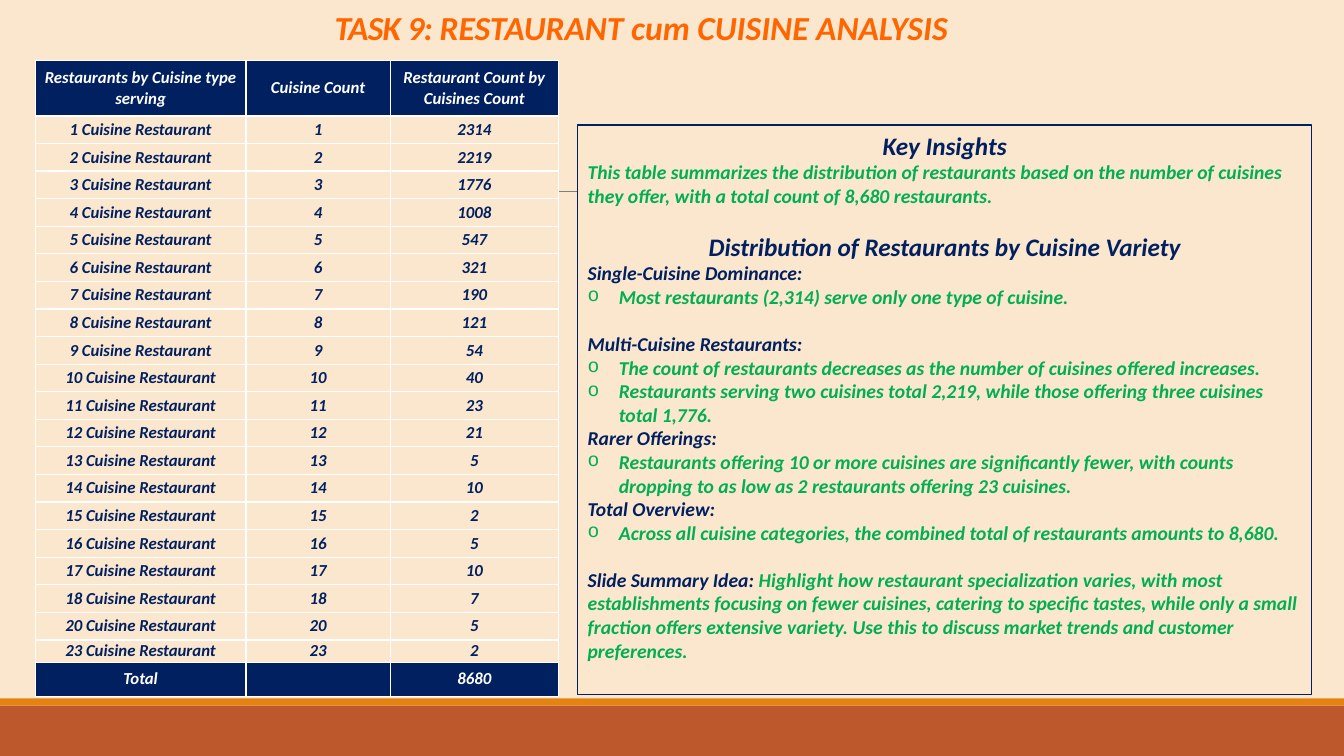
from lxml.etree import SubElement
from pptx import Presentation
from pptx.dml.color import RGBColor
from pptx.enum.shapes import MSO_CONNECTOR, MSO_SHAPE
from pptx.enum.text import MSO_ANCHOR, PP_ALIGN
from pptx.oxml.ns import qn
from pptx.util import Inches, Pt

NAVY = RGBColor(0x00, 0x20, 0x60)
GREEN = RGBColor(0x00, 0xB0, 0x50)
CREAM = RGBColor(0xFB, 0xE6, 0xCE)
WHITE = RGBColor(0xFF, 0xFF, 0xFF)
GRAY = RGBColor(0x80, 0x80, 0x80)
TITLE_ORANGE = RGBColor(0xFF, 0x66, 0x00)
BAND_ORANGE = RGBColor(0xE4, 0x83, 0x12)
BAND_RUST = RGBColor(0xBD, 0x58, 0x2C)


def set_font(font, size, color):
    """Apply the slide's bold italic Calibri."""
    font.name = "Calibri"
    font.size = Pt(size)
    font.bold = True
    font.italic = True
    font.color.rgb = color


def add_rectangle(left, top, width, height, color):
    box = page.shapes.add_shape(MSO_SHAPE.RECTANGLE, Inches(left), Inches(top),
                                Inches(width), Inches(height))
    box.shadow.inherit = False
    box.fill.solid()
    box.fill.fore_color.rgb = color
    box.line.fill.background()
    return box


deck = Presentation()
deck.slide_width = Inches(13.33)
deck.slide_height = Inches(7.5)
page = deck.slides.add_slide(deck.slide_layouts[6])
page.background.fill.solid()
page.background.fill.fore_color.rgb = CREAM

# Footer bands and the rule behind the content
add_rectangle(0, 7, 13.33, 0.5, BAND_RUST)
add_rectangle(0, 6.93, 13.33, 0.07, BAND_ORANGE)
rule = page.shapes.add_connector(MSO_CONNECTOR.STRAIGHT, Inches(1.31), Inches(1.9),
                                 Inches(12.21), Inches(1.9))
rule.line.color.rgb = GRAY
rule.line.width = Pt(0.5)
SubElement(rule._element.spPr, qn("a:effectLst"))

# Title
title = page.shapes.add_textbox(Inches(0.86), Inches(0.07), Inches(11), Inches(0.46))
title.text_frame.word_wrap = True
title.text_frame.vertical_anchor = MSO_ANCHOR.MIDDLE
para = title.text_frame.paragraphs[0]
para.alignment = PP_ALIGN.CENTER
para.line_spacing = 0.85
para.space_after = Pt(6)
set_font(para.font, 24, TITLE_ORANGE)
task = para.add_run()
task.text = "TASK 9: "
task._r.get_or_add_rPr().set("spc", "-50")
para.add_run().text = "RESTAURANT cum CUISINE ANALYSIS"

# Key insights: style, text, space before in points
BLANK_LINE = 17
INSIGHTS = [
    ("heading", "Key Insights", 0),
    ("body", "This table summarizes the distribution of restaurants based on the number "
             "of cuisines they offer, with a total count of 8,680 restaurants.", 0),
    ("heading", "Distribution of Restaurants by Cuisine Variety", BLANK_LINE),
    ("label", "Single-Cuisine Dominance:", 0),
    ("bullet", "Most restaurants (2,314) serve only one type of cuisine.", 0),
    ("label", "Multi-Cuisine Restaurants:", BLANK_LINE),
    ("bullet", "The count of restaurants decreases as the number of cuisines offered "
               "increases.", 0),
    ("bullet", "Restaurants serving two cuisines total 2,219, while those offering three "
               "cuisines total 1,776.", 0),
    ("label", "Rarer Offerings:", 0),
    ("bullet", "Restaurants offering 10 or more cuisines are significantly fewer, with "
               "counts dropping to as low as 2 restaurants offering 23 cuisines.", 0),
    ("label", "Total Overview:", 0),
    ("bullet", "Across all cuisine categories, the combined total of restaurants amounts "
               "to 8,680.", 0),
    ("label", "Slide Summary Idea: ", BLANK_LINE),
]
SUMMARY = ("Highlight how restaurant specialization varies, with most establishments "
           "focusing on fewer cuisines, catering to specific tastes, while only a small "
           "fraction offers extensive variety. Use this to discuss market trends and "
           "customer preferences.")

insights = add_rectangle(5.73, 1.24, 7.28, 5.65, CREAM)
insights.line.color.rgb = NAVY
insights.line.width = Pt(0.75)
frame = insights.text_frame
frame.word_wrap = True
frame.vertical_anchor = MSO_ANCHOR.TOP
for index, (style, text, gap) in enumerate(INSIGHTS):
    para = frame.add_paragraph() if index else frame.paragraphs[0]
    para.alignment = PP_ALIGN.CENTER if style == "heading" else PP_ALIGN.LEFT
    para.space_before = Pt(gap)
    if style == "bullet":
        props = para._p.get_or_add_pPr()
        props.set("marL", str(Inches(0.31)))
        props.set("indent", str(-Inches(0.31)))
        SubElement(props, qn("a:buFont"), typeface="Courier New")
        SubElement(props, qn("a:buChar"), char="o")
    set_font(para.font, 18 if style == "heading" else 14,
             NAVY if style in ("heading", "label") else GREEN)
    para.add_run().text = text
# The last label is followed by its text on the same line
set_font(para.runs[0].font, 14, NAVY)
span = para.add_run()
span.text = SUMMARY
set_font(span.font, 14, GREEN)

# Table of restaurants by number of cuisines
COUNTS = {1: 2314, 2: 2219, 3: 1776, 4: 1008, 5: 547, 6: 321, 7: 190, 8: 121, 9: 54,
          10: 40, 11: 23, 12: 21, 13: 5, 14: 10, 15: 2, 16: 5, 17: 10, 18: 7, 20: 5, 23: 2}
rows = [("Restaurants by Cuisine type serving", "Cuisine Count",
         "Restaurant Count by Cuisines Count")]
rows += [(f"{cuisines} Cuisine Restaurant", str(cuisines), str(count))
         for cuisines, count in COUNTS.items()]
rows.append(("Total", "", "8680"))
COLUMN_WIDTHS = [2.09, 1.43, 1.67]
ROW_HEIGHTS = [0.55] + [5.2 / 19] * 19 + [0.22, 0.34]

table = page.shapes.add_table(len(rows), len(COLUMN_WIDTHS), Inches(0.35), Inches(0.6),
                              Inches(5.19), Inches(6.31)).table
for column, width in zip(table.columns, COLUMN_WIDTHS):
    column.width = Inches(width)
for row_index, (texts, height) in enumerate(zip(rows, ROW_HEIGHTS)):
    table.rows[row_index].height = Inches(height)
    is_dark = row_index in (0, len(rows) - 1)
    for column_index, text in enumerate(texts):
        cell = table.cell(row_index, column_index)
        cell.margin_left = cell.margin_right = cell.margin_top = cell.margin_bottom = 0
        cell.vertical_anchor = MSO_ANCHOR.MIDDLE
        for side in ("lnL", "lnR", "lnT", "lnB"):
            border = SubElement(cell._tc.get_or_add_tcPr(), qn(f"a:{side}"), w=str(Pt(1)))
            SubElement(SubElement(border, qn("a:solidFill")), qn("a:srgbClr"), val=str(WHITE))
        cell.fill.solid()
        cell.fill.fore_color.rgb = NAVY if is_dark else CREAM
        para = cell.text_frame.paragraphs[0]
        para.alignment = PP_ALIGN.CENTER
        set_font(para.font, 12, WHITE if is_dark else NAVY)
        if text:
            para.add_run().text = text

deck.save("out.pptx")
